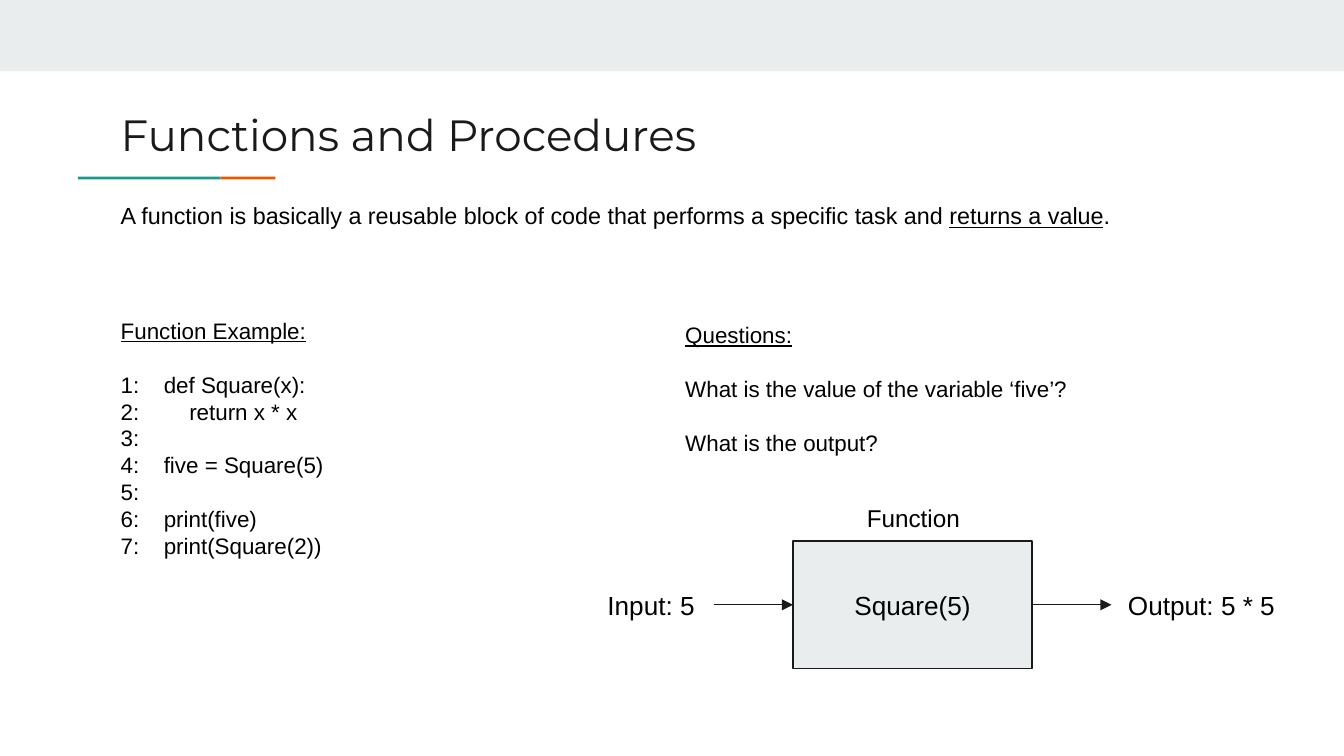
import pptx
import pptx.dml.color
import pptx.enum.shapes
import pptx.enum.text
import pptx.oxml
import pptx.util

RGBColor = pptx.dml.color.RGBColor
PALE = RGBColor(0xE9, 0xED, 0xEE)
INK = RGBColor(0x1A, 0x1A, 0x1A)
BLACK = RGBColor(0, 0, 0)
TEAL = RGBColor(0x1A, 0x99, 0x88)
ORANGE = RGBColor(0xEB, 0x56, 0x00)

COLUMNS, ROWS = 100, 56.25
TOP, LEFT, BOTTOM, RIGHT = range(4)
ALIGN = pptx.enum.text.PP_ALIGN
ANCHOR = pptx.enum.text.MSO_ANCHOR


def grid(value):
    return pptx.util.Inches(value / 10)


def write(paragraph, text, size=12, font="Arial", color=BLACK, underline=False):
    run = paragraph.add_run()
    run.text = text
    run.font.size = pptx.util.Pt(size)
    run.font.name = font
    run.font.color.rgb = color
    run.font.underline = underline


class SlideBuilder:
    """Draws styled elements on the current slide, placed by grid columns and rows."""

    def __init__(self, presentation):
        self.slide = presentation.slides.add_slide(presentation.slide_layouts[6])

    def rectangle(self, column, row, width, height, fill, line=None):
        shape = self.slide.shapes.add_shape(
            pptx.enum.shapes.MSO_SHAPE.RECTANGLE, *map(grid, (column, row, width, height)))
        shape.shadow.inherit = False
        shape.fill.solid()
        shape.fill.fore_color.rgb = fill
        if line is None:
            shape.line.fill.background()
        else:
            shape.line.color.rgb = line
            shape.line.width = pptx.util.Pt(0.75)
        return shape

    def frame(self, shape, anchor=ANCHOR.TOP):
        frame = shape.text_frame
        frame.word_wrap = True
        frame.vertical_anchor = anchor
        frame.margin_left = frame.margin_right = grid(1)
        frame.margin_top = frame.margin_bottom = grid(1)
        return frame

    def text_box(self, column, row, width, height):
        return self.slide.shapes.add_textbox(*map(grid, (column, row, width, height)))

    def label(self, shape, text, size=14):
        paragraph = self.frame(shape, ANCHOR.MIDDLE).paragraphs[0]
        paragraph.alignment = ALIGN.CENTER
        write(paragraph, text, size=size)
        return shape

    def passage(self, column, row, width, height, heading, lines):
        frame = self.frame(self.text_box(column, row, width, height))
        write(frame.paragraphs[0], heading, underline=True)
        for text, gap, indent in lines:
            paragraph = frame.add_paragraph()
            paragraph.space_before = pptx.util.Pt(gap)
            if indent:
                properties = paragraph._p.get_or_add_pPr()
                properties.set("marL", str(grid(indent)))
                properties.set("indent", str(-grid(indent)))
            write(paragraph, text)

    def arrow(self, start, finish):
        connector = self.slide.shapes.add_connector(
            pptx.enum.shapes.MSO_CONNECTOR.STRAIGHT, 0, 0, 0, 0)
        connector.begin_connect(start, RIGHT)
        connector.end_connect(finish, LEFT)
        connector.line.color.rgb = INK
        connector.line.width = pptx.util.Pt(0.75)
        line = connector.line._get_or_add_ln()
        line.append(pptx.oxml.parse_xml(
            '<a:tailEnd xmlns:a="http://schemas.openxmlformats.org/drawingml/2006/main"'
            ' type="triangle"/>'))
        connector._element.spPr.append(pptx.oxml.parse_xml(
            '<a:effectLst xmlns:a="http://schemas.openxmlformats.org/drawingml/2006/main"/>'))


def main():
    presentation = pptx.Presentation()
    presentation.slide_width = grid(COLUMNS)
    presentation.slide_height = grid(ROWS)
    builder = SlideBuilder(presentation)

    builder.rectangle(0, 0, COLUMNS, 5.3, PALE)
    builder.rectangle(5.8, 13.15, 10.6, 0.2, TEAL)
    builder.rectangle(16.4, 13.15, 4.1, 0.2, ORANGE)

    title = builder.frame(builder.text_box(8, 7, 84.1, 5.9))
    write(title.paragraphs[0], "Functions and Procedures",
          size=23.4, font="Montserrat", color=INK)

    definition = builder.frame(builder.text_box(8, 14, 84.1, 6.4)).paragraphs[0]
    write(definition, "A function is basically a reusable block of code that "
          "performs a specific task and ", size=12.5)
    write(definition, "returns a value", size=12.5, underline=True)
    write(definition, ".", size=12.5)

    builder.passage(50, 22.9, 35.9, 12.8, "Questions:", [
        ("What is the value of the variable ‘five’?", 14.4, 0),
        ("What is the output?", 14.4, 0),
    ])

    code = ["def Square(x):", "return x * x", "", "five = Square(5)", "",
            "print(five)", "print(Square(2))"]
    builder.passage(8, 22.6, 35.9, 20.6, "Function Example:", [
        (f"{number}:\t{text}" if text else f"{number}:",
         14.4 if number == 1 else 0,
         5.1 if text.startswith("return") else 3.2)
        for number, text in enumerate(code, 1)
    ])

    function = builder.label(
        builder.rectangle(59, 40.25, 17.8, 9.5, PALE, INK), "Square(5)")
    builder.label(builder.text_box(61.5, 36.7, 12.9, 3.6), "Function", size=13)
    source = builder.label(builder.text_box(43.8, 42.5, 9.3, 5), "Input: 5")
    result = builder.label(builder.text_box(82.7, 42.5, 13.4, 5), "Output: 5 * 5")
    builder.arrow(source, function)
    builder.arrow(function, result)

    presentation.save("out.pptx")


if __name__ == "__main__":
    main()
